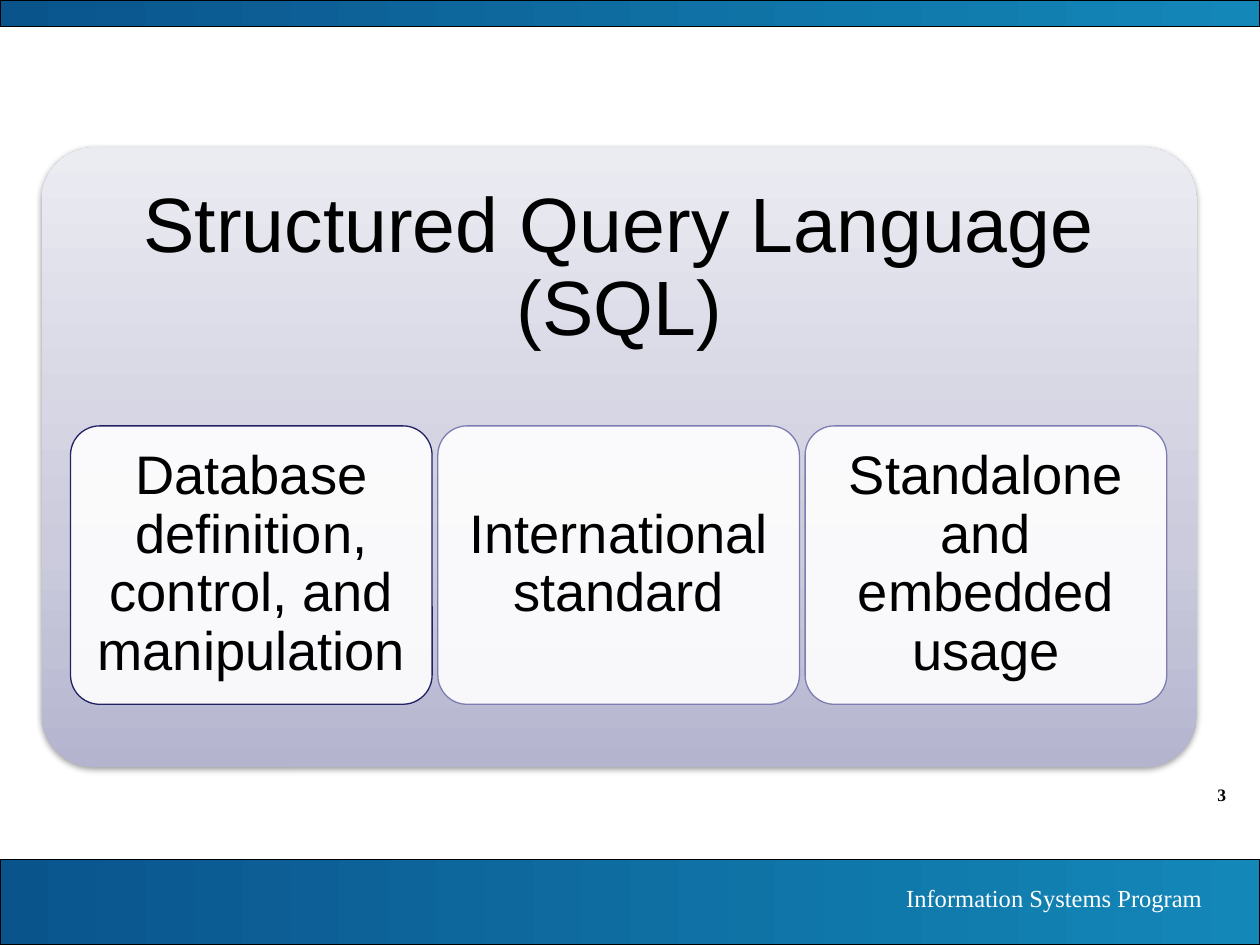
from lxml import etree
from pptx import Presentation
from pptx.dml.color import RGBColor
from pptx.enum.shapes import MSO_SHAPE
from pptx.enum.text import MSO_ANCHOR, PP_ALIGN
from pptx.oxml import parse_xml
from pptx.oxml.ns import qn
from pptx.util import Inches, Pt

RECT, ROUND = MSO_SHAPE.RECTANGLE, MSO_SHAPE.ROUNDED_RECTANGLE
TOP, MIDDLE = MSO_ANCHOR.TOP, MSO_ANCHOR.MIDDLE
CENTER, RIGHT = PP_ALIGN.CENTER, PP_ALIGN.RIGHT

BLACK = RGBColor(0x00, 0x00, 0x00)
WHITE = RGBColor(0xFF, 0xFF, 0xFF)
NAVY = RGBColor(0x21, 0x21, 0x66)
LILAC = RGBColor(0x7D, 0x7D, 0xB3)
BAND = [(0, RGBColor(0x0A, 0x54, 0x8C)), (100, RGBColor(0x13, 0x87, 0xB8))]
PANEL = [(0, RGBColor(0xB4, 0xB4, 0xCF)), (35, RGBColor(0xCB, 0xCB, 0xDD)),
         (100, RGBColor(0xEB, 0xEB, 0xF2))]

SANS, SERIF = "Arial", "Times New Roman"
NS = 'xmlns:a="http://schemas.openxmlformats.org/drawingml/2006/main"'

CARDS = [("Database definition, control, and manipulation", NAVY),
         ("International standard", LILAC),
         ("Standalone and embedded usage", LILAC)]
CARD_LEFT, CARD_STEP = 0.56, 2.915


def add_shape(slide, kind, box, line=None, adj=None):
    shape = slide.shapes.add_shape(kind, *map(Inches, box))
    shape.shadow.inherit = False
    if adj is not None:
        shape.adjustments[0] = adj
    if line is None:
        shape.line.fill.background()
    else:
        shape.line.color.rgb = line
        shape.line.width = Pt(0.75)
    return shape


def fill_gradient(shape, stops, angle):
    """Fill with any number of stops; the angle runs clockwise in degrees."""
    marks = "".join(f'<a:gs pos="{pos * 1000}"><a:srgbClr val="{color}"/></a:gs>'
                    for pos, color in stops)
    grad = parse_xml(f'<a:gradFill {NS} rotWithShape="1"><a:gsLst>{marks}</a:gsLst>'
                     f'<a:lin ang="{angle * 60000}" scaled="0"/></a:gradFill>')
    shape.element.spPr.find(qn("a:prstGeom")).addnext(grad)


def fill_clear(shape, color, percent):
    """Fill with a colour of the given opacity."""
    shape.fill.solid()
    shape.fill.fore_color.rgb = color
    tint = shape.element.spPr.find(qn("a:solidFill"))[0]
    etree.SubElement(tint, qn("a:alpha")).set("val", str(percent * 1000))


def add_shadow(shape):
    effects = shape.element.spPr.find(qn("a:effectLst"))
    effects.append(parse_xml(
        f'<a:outerShdw {NS} blurRad="{Pt(3.1)}" dist="{Pt(1.6)}" dir="5400000" '
        'rotWithShape="0"><a:srgbClr val="000000"><a:alpha val="38000"/>'
        '</a:srgbClr></a:outerShdw>'))


def set_text(shape, text, size, font, color, align, bold=False):
    frame = shape.text_frame
    frame.word_wrap = True
    frame.text = text
    para = frame.paragraphs[0]
    para.alignment = align
    style = para.runs[0].font
    style.size, style.name, style.bold = Pt(size), font, bold
    style.color.rgb = color
    return frame


def set_inner(frame, anchor, inset, bottom):
    """Place text inside a rounded box with tight lines."""
    frame.vertical_anchor = anchor
    frame.margin_left = frame.margin_right = frame.margin_top = Inches(inset)
    frame.margin_bottom = Inches(bottom)
    frame.paragraphs[0].line_spacing = 0.9


def add_band(slide, top, height):
    band = add_shape(slide, RECT, (0, top, 10, height), BLACK)
    fill_gradient(band, BAND, 0)


def add_label(slide, box, *style, **extra):
    label = slide.shapes.add_textbox(*map(Inches, box))
    set_text(label, *style, **extra)


def add_panel(slide, text):
    panel = add_shape(slide, ROUND, (0.33, 1.17, 9.17, 4.92), adj=0.085)
    fill_gradient(panel, PANEL, 270)
    add_shadow(panel)
    frame = set_text(panel, text, 44, SANS, BLACK, CENTER)
    set_inner(frame, TOP, 0.18, 3.04)


def add_card(slide, left, text, line):
    card = add_shape(slide, ROUND, (left, 3.38, 2.87, 2.21), line, 0.105)
    fill_clear(card, WHITE, 90)
    frame = set_text(card, text, 31, SANS, BLACK, CENTER)
    set_inner(frame, MIDDLE, 0.13, 0.13)


def main():
    deck = Presentation()
    deck.slide_width, deck.slide_height = Inches(10), Inches(7.5)
    slide = deck.slides.add_slide(deck.slide_layouts[6])
    add_label(slide, (9, 6.17, 0.83, 0.27), "3", 10, SERIF, BLACK, RIGHT, bold=True)
    add_band(slide, 6.82, 0.68)
    add_band(slide, 0, 0.21)
    add_label(slide, (5.55, 6.96, 4.09, 0.34), "Information Systems Program",
              14, SERIF, WHITE, RIGHT)
    add_panel(slide, "Structured Query Language (SQL)")
    for index, (text, line) in enumerate(CARDS):
        add_card(slide, CARD_LEFT + index * CARD_STEP, text, line)
    deck.save("out.pptx")


if __name__ == "__main__":
    main()
